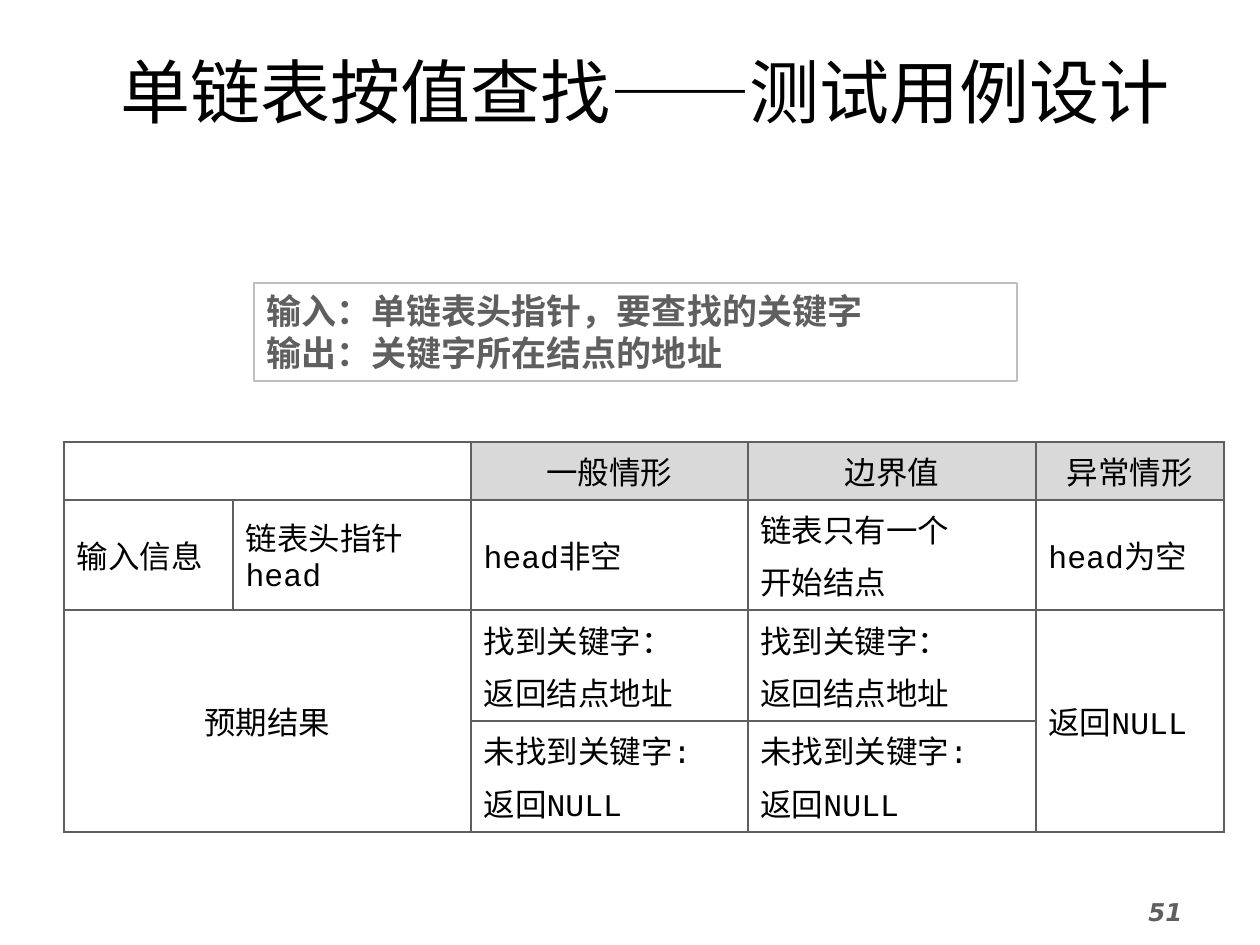
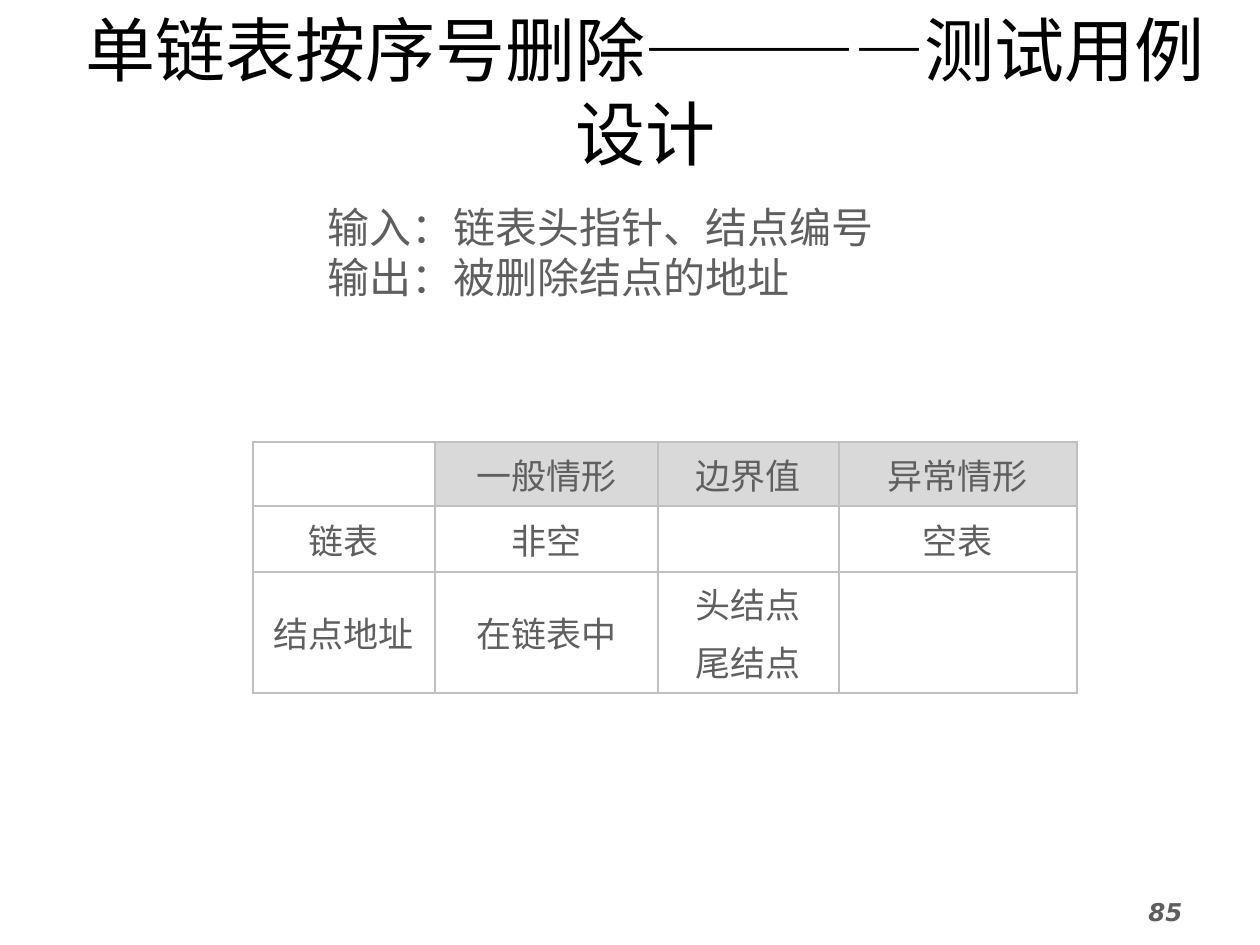
from lxml import etree
from pptx import Presentation
from pptx.dml.color import RGBColor
from pptx.enum.shapes import MSO_SHAPE as Shape
from pptx.enum.text import MSO_ANCHOR as Anchor, PP_ALIGN as Align
from pptx.oxml.ns import qn
from pptx.util import Pt

EMU_PER_PX = 914400 / 126
BLACK, GREY, SILVER, WHITE = "000000", "5F5F5F", "BFBFBF", "FFFFFF"
HEADER_FILL = "D9D9D9"
CJK_FONT = "Noto Sans CJK SC"
LINE_RATIO = 1.2

TITLE_BOX = (44, 42, 1202, 97)
NUMBER_BOX = (1136, 891, 128, 54)
TITLE_STYLE = {"name": "DejaVu Sans Mono", "size": 40, "color": BLACK}
NUMBER_STYLE = {"name": "DejaVu Sans", "size": 14, "color": GREY, "bold": True, "italic": True}

SEARCH_RESULTS = ["找到关键字：\n返回结点地址", "未找到关键字:\n返回NULL"]
SEARCH = {
    "title": "单链表按值查找——测试用例设计",
    "number": "51",
    "summary": {
        "box": (254, 283, 763, 98),
        "text": "输入：单链表头指针，要查找的关键字\n输出：关键字所在结点的地址",
        "style": {"name": "Arial", "size": 20, "color": GREY, "bold": True},
        "outline": SILVER,
    },
    "cases": {
        "corner": (64, 442),
        "widths": [169, 238, 277, 288, 188],
        "heights": [58, 110, 111, 111],
        "rows": [
            ["", "", "一般情形", "边界值", "异常情形"],
            ["输入信息", "链表头指针head", "head非空", "链表只有一个\n开始结点", "head为空"],
            ["预期结果", "", SEARCH_RESULTS[0], SEARCH_RESULTS[0], "返回NULL"],
            ["", "", SEARCH_RESULTS[1], SEARCH_RESULTS[1], ""],
        ],
        "merges": [((0, 0), (0, 1)), ((2, 0), (3, 1)), ((2, 4), (3, 4))],
        "body_align": Align.LEFT,
        "style": {"name": "Courier New", "size": 18, "color": BLACK},
        "border": GREY,
    },
}
DELETION = {
    "title": "单链表按序号删除————测试用例设计",
    "number": "85",
    "summary": {
        "box": (315, 195, 630, 115),
        "text": "输入：链表头指针、结点编号\n输出：被删除结点的地址",
        "style": {"name": CJK_FONT, "size": 24, "color": GREY},
    },
    "cases": {
        "corner": (253, 442),
        "widths": [182, 223, 181, 238],
        "heights": [64, 66, 121],
        "rows": [
            ["", "一般情形", "边界值", "异常情形"],
            ["链表", "非空", "", "空表"],
            ["结点地址", "在链表中", "头结点\n尾结点", ""],
        ],
        "merges": [],
        "body_align": Align.CENTER,
        "style": {"name": CJK_FONT, "size": 20, "color": GREY},
        "border": "C0C0C0",
    },
}


def px(length):
    """Convert whole pixels to EMU."""
    return round(length * EMU_PER_PX)


def color(value):
    """Turn a hex string into a colour."""
    return RGBColor.from_string(value)


def fill_text(frame, text, style, paragraph_format):
    """Write one paragraph per line with the given font and paragraph formats."""
    frame.text = text
    for paragraph in frame.paragraphs:
        for name, value in paragraph_format.items():
            setattr(paragraph, name, value)
        for run in paragraph.runs:
            for name, value in style.items():
                if name == "color":
                    run.font.color.rgb = color(value)
                else:
                    setattr(run.font, name, Pt(value) if name == "size" else value)
            east_asian = etree.SubElement(run.font._element, qn("a:ea"))
            east_asian.set("typeface", CJK_FONT)


def add_text(slide, box, text, style, align=Align.LEFT, anchor=Anchor.TOP, outline=None):
    """Add a wrapped text shape, outlined on request."""
    position = [px(length) for length in box]
    if outline:
        shape = slide.shapes.add_shape(Shape.RECTANGLE, *position)
        shape.shadow.inherit = False
        shape.fill.background()
        shape.line.color.rgb = color(outline)
        shape.line.width = Pt(0.75)
    else:
        shape = slide.shapes.add_textbox(*position)
    frame = shape.text_frame
    frame.word_wrap = True
    frame.vertical_anchor = anchor
    spacing = Pt(style["size"] * LINE_RATIO)
    fill_text(frame, text, style, {"alignment": align, "line_spacing": spacing})


def add_borders(cell, value):
    """Draw one-point lines on all four sides of a cell."""
    properties = cell._tc.get_or_add_tcPr()
    for side in ("lnL", "lnR", "lnT", "lnB"):
        line = etree.SubElement(properties, qn(f"a:{side}"), w=str(Pt(1)))
        solid = etree.SubElement(line, qn("a:solidFill"))
        etree.SubElement(solid, qn("a:srgbClr"), val=value)


def add_cases(slide, corner, widths, heights, rows, merges, body_align, style, border):
    """Add the table of test cases, with shaded column headings."""
    size = (sum(widths), sum(heights))
    position = [px(length) for length in (*corner, *size)]
    table = slide.shapes.add_table(len(rows), len(widths), *position).table
    table.first_row = table.horz_banding = False
    for column, width in zip(table.columns, widths):
        column.width = px(width)
    for row, height in zip(table.rows, heights):
        row.height = px(height)
    for first, last in merges:
        table.cell(*first).merge(table.cell(*last))
    for row_index, texts in enumerate(rows):
        for column_index, text in enumerate(texts):
            cell = table.cell(row_index, column_index)
            add_borders(cell, border)
            heading = row_index == 0 and text
            cell.fill.solid()
            cell.fill.fore_color.rgb = color(HEADER_FILL if heading else WHITE)
            cell.vertical_anchor = Anchor.MIDDLE
            centred = heading or cell.span_width > 1
            paragraph_format = {
                "alignment": Align.CENTER if centred else body_align,
                "space_before": Pt(style["size"] * 0.2),
            }
            if text:
                fill_text(cell.text_frame, text, style, paragraph_format)


def add_test_slide(presentation, title, number, summary, cases):
    """Build one test design slide."""
    slide = presentation.slides.add_slide(presentation.slide_layouts[6])
    add_text(slide, TITLE_BOX, title, TITLE_STYLE, Align.CENTER, Anchor.MIDDLE)
    add_text(slide, NUMBER_BOX, number, NUMBER_STYLE)
    add_cases(slide, **cases)
    add_text(slide, **summary)


def main():
    """Build and save the presentation."""
    presentation = Presentation()
    presentation.slide_width, presentation.slide_height = px(1260), px(945)
    for content in (SEARCH, DELETION):
        add_test_slide(presentation, **content)
    presentation.save("out.pptx")


if __name__ == "__main__":
    main()
